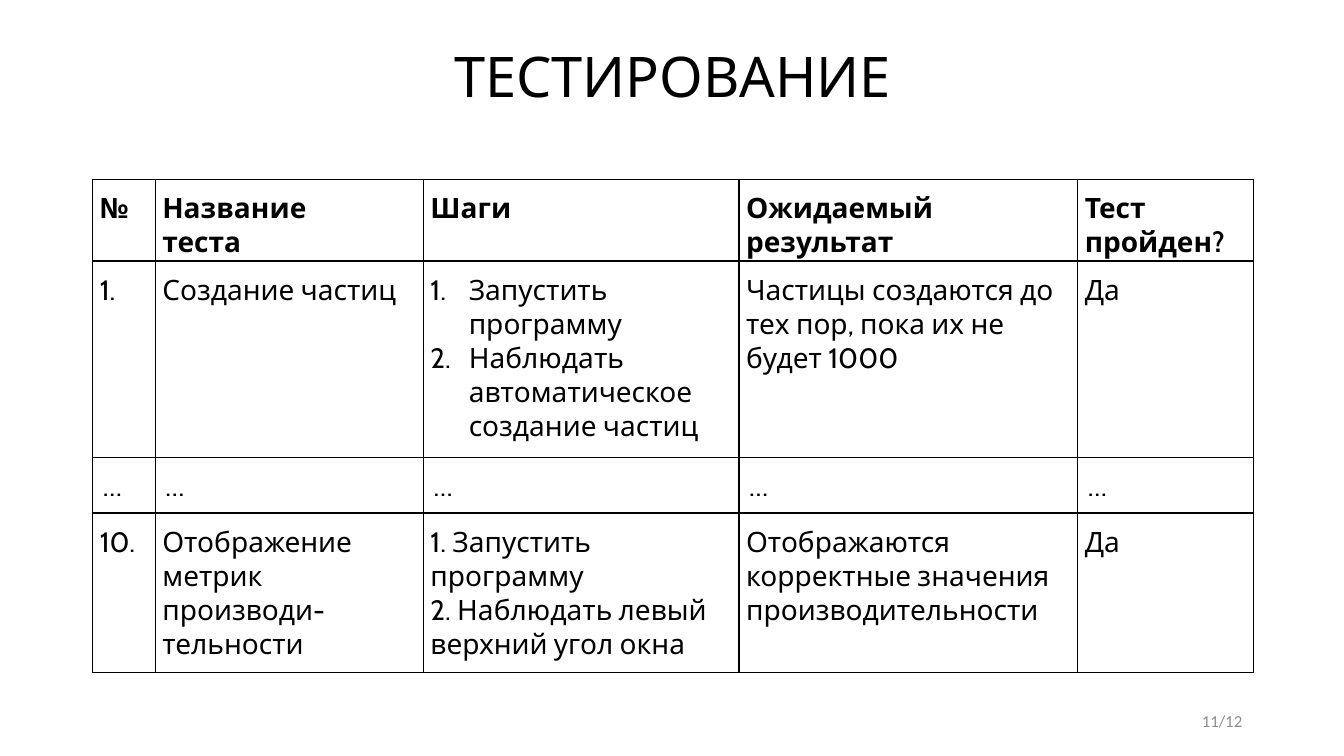
from dataclasses import dataclass

from lxml.etree import SubElement
from pptx import Presentation
from pptx.dml.color import RGBColor
from pptx.enum.text import MSO_ANCHOR, PP_ALIGN
from pptx.oxml.ns import qn
from pptx.util import Emu, Inches, Pt

SLIDE_W, SLIDE_H = 13.33, 7.5
MARGIN, CONTENT_W = 0.92, 11.5
COLS = (0.62, 2.66, 3.13, 3.36, 1.74)
INK, PAPER, MUTED = "000000", "FFFFFF", "8C8C8C"
BODY = {"name": "Cabin", "size": Pt(20), "bold": False}


@dataclass(frozen=True)
class Row:
    height: float
    cells: tuple[str, ...]  # each line of a cell is a paragraph
    bold: bool = False
    numbered_col: int | None = None
    insets: tuple[float, float, float, float] = (0.07, 0.12, 0.07, 0)


ROWS = (
    Row(0.81, ("№", "Название\nтеста", "Шаги", "Ожидаемый\nрезультат",
               "Тест пройден?"), bold=True),
    Row(1.95, ("1.", "Создание частиц",
               "Запустить программу\nНаблюдать автоматическое создание частиц",
               "Частицы создаются до тех пор, пока их не будет 1000", "Да"),
        numbered_col=2),
    Row(0.55, ("…",) * len(COLS), insets=(0.1, 0.12, 0.1, 0.05)),
    Row(1.58, ("10.", "Отображение метрик производи-тельности",
               "1. Запустить программу\n2. Наблюдать левый верхний угол окна",
               "Отображаются корректные значения производительности", "Да")),
)


def rgb(color: str) -> RGBColor:
    return RGBColor.from_string(color)


def set_attrs(obj, values: dict) -> None:
    for name, value in values.items():
        setattr(obj, name, value)


def add_text(p, text: str, font: dict, color: str = INK) -> None:
    r = p.add_run()
    r.text = text
    set_attrs(r.font, font)
    r.font.color.rgb = rgb(color)


def place(sp, left: float, top: float, width: float, height: float) -> None:
    set_attrs(sp, {"left": Inches(left), "top": Inches(top),
                   "width": Inches(width), "height": Inches(height)})


def number_paragraph(p, indent: float = 0.38) -> None:
    pPr = p._p.get_or_add_pPr()
    pPr.set("marL", str(Inches(indent)))
    pPr.set("indent", str(-Inches(indent)))
    SubElement(pPr, qn("a:buFont"), typeface="+mj-lt")
    SubElement(pPr, qn("a:buAutoNum"), type="arabicPeriod")


def add_borders(cell, color: str = INK, width: float = 1) -> None:
    tcPr = cell._tc.get_or_add_tcPr()
    for side in ("lnL", "lnR", "lnT", "lnB"):
        ln = SubElement(tcPr, qn(f"a:{side}"), w=str(Pt(width)))
        fill = SubElement(ln, qn("a:solidFill"))
        SubElement(fill, qn("a:srgbClr"), val=color)


def fill_cell(cell, text: str, row: Row, numbered: bool) -> None:
    sides = ("margin_left", "margin_top", "margin_right", "margin_bottom")
    set_attrs(cell, dict(zip(sides, map(Inches, row.insets))))
    tf = cell.text_frame
    for i, line in enumerate(text.split("\n")):
        p = tf.add_paragraph() if i else tf.paragraphs[0]
        add_text(p, line, BODY | {"bold": row.bold})
        if numbered:
            number_paragraph(p)
    # Borders come before the fill in the cell properties
    add_borders(cell)
    cell.fill.solid()
    cell.fill.fore_color.rgb = rgb(PAPER)


def add_test_table(slide) -> None:
    height = sum(row.height for row in ROWS)
    frame = slide.shapes.add_table(len(ROWS), len(COLS), Inches(MARGIN), Inches(1.78),
                                   Inches(sum(COLS)), Inches(height))
    table = frame.table
    set_attrs(table, {"first_row": False, "horz_banding": False})
    for column, width in zip(table.columns, COLS):
        column.width = Inches(width)
    for i, row in enumerate(ROWS):
        table.rows[i].height = Inches(row.height)
        for j, text in enumerate(row.cells):
            fill_cell(table.cell(i, j), text, row, j == row.numbered_col)


def main() -> None:
    prs = Presentation()
    set_attrs(prs, {"slide_width": Inches(SLIDE_W), "slide_height": Inches(SLIDE_H)})
    slide = prs.slides.add_slide(prs.slide_layouts[5])

    # Title
    title = slide.shapes.title
    place(title, MARGIN, 0.4, CONTENT_W, 0.78)
    title.text_frame.vertical_anchor = MSO_ANCHOR.MIDDLE
    p = title.text_frame.paragraphs[0]
    set_attrs(p, {"alignment": PP_ALIGN.CENTER, "line_spacing": 0.9})
    add_text(p, "ТЕСТИРОВАНИЕ", BODY | {"size": Pt(40)})

    # Test results
    add_test_table(slide)

    # Page number, flush with the right edge of the content
    sp = slide.shapes.add_textbox(Emu(0), Emu(0), Emu(0), Emu(0))
    place(sp, MARGIN + CONTENT_W - 3, 6.95, 3, 0.4)
    tf = sp.text_frame
    set_attrs(tf, {"word_wrap": True, "vertical_anchor": MSO_ANCHOR.MIDDLE})
    tf.paragraphs[0].alignment = PP_ALIGN.RIGHT
    add_text(tf.paragraphs[0], "11/12", {"name": "Calibri", "size": Pt(12)}, MUTED)

    prs.save("out.pptx")


if __name__ == "__main__":
    main()
